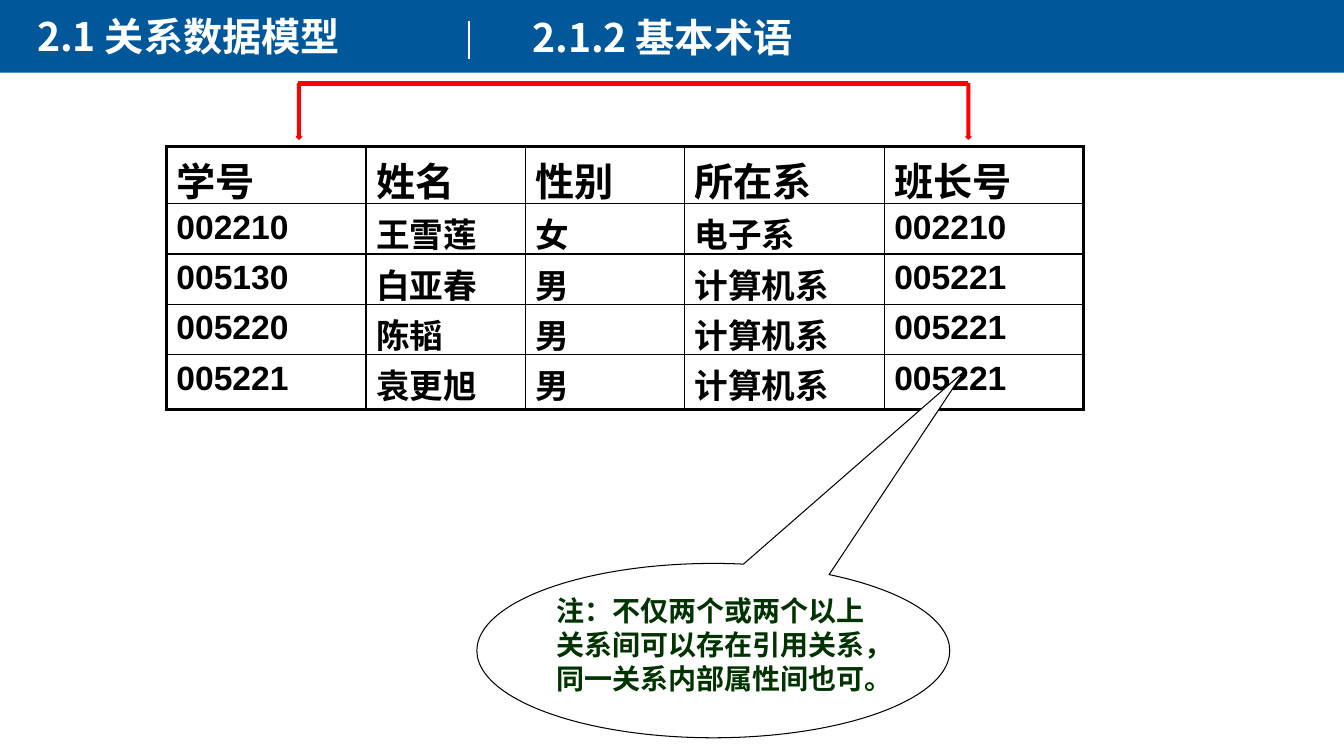
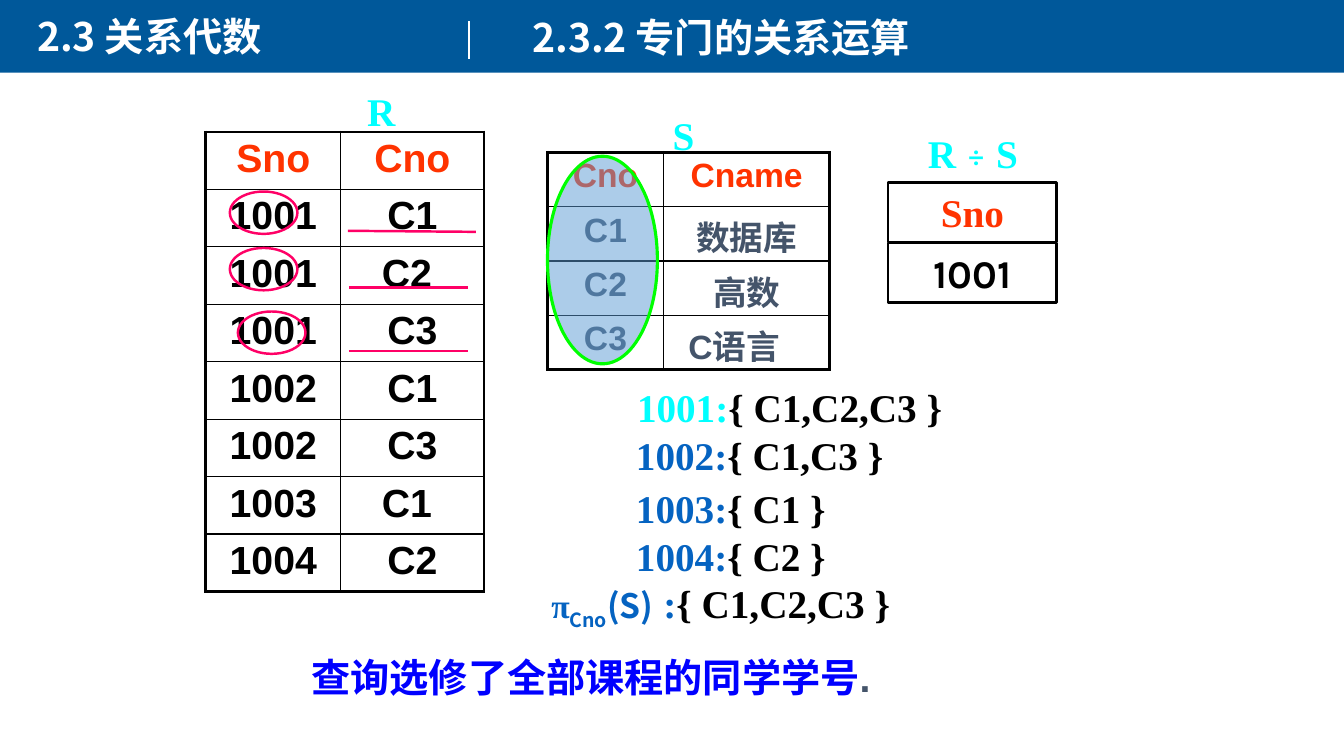
"""Build two lecture slides on relational terms and relational division."""
import dataclasses

import lxml.etree
import pptx
import pptx.dml.color
import pptx.enum.shapes
import pptx.enum.text
import pptx.oxml.ns
import pptx.util

Inches = pptx.util.Inches
Pt = pptx.util.Pt
SHAPE = pptx.enum.shapes.MSO_SHAPE
ANCHOR = pptx.enum.text.MSO_ANCHOR
ALIGN = pptx.enum.text.PP_ALIGN


@dataclasses.dataclass(frozen=True)
class Theme:
    """Colours, fonts, type sizes and line widths of the deck."""
    band: str = "00589A"
    white: str = "FFFFFF"
    black: str = "000000"
    red: str = "FF0000"
    heading: str = "FF3300"
    note: str = "003300"
    slate: str = "44546A"
    cyan: str = "00FFFF"
    blue: str = "0563C1"
    query: str = "0000FF"
    mark: str = "FF0066"
    ring: str = "00FF00"
    ring_fill: str = "5B9BD5"
    sans: str = "Arial"
    serif: str = "Times New Roman"
    chinese: str = "Noto Sans CJK SC"
    digits: str = "Karla"
    large: int = 28
    medium: int = 24
    small: int = 20
    outer_border: float = 2.25
    inner_border: float = 1
    mark_width: float = 1.75


THEME = Theme()


@dataclasses.dataclass(frozen=True)
class Span:
    """A stretch of text in one style."""
    text: str
    color: str = THEME.black
    font: str = THEME.serif
    size: int = THEME.large
    bold: bool = True
    baseline: int = 0


def rgb(color):
    """Turn a hex string into a colour."""
    return pptx.dml.color.RGBColor.from_string(color)


def set_font(font, span):
    """Give a font the style of a span."""
    font.name = span.font
    font.size = Pt(span.size)
    font.bold = span.bold
    font.color.rgb = rgb(span.color)


def fill_paragraph(paragraph, spans, align=ALIGN.LEFT):
    """Write spans into a paragraph."""
    paragraph.alignment = align
    if len(spans) == 1:
        set_font(paragraph.font, spans[0])
    for span in spans:
        run = paragraph.add_run()
        run.text = span.text
        if len(spans) > 1:
            set_font(run.font, span)
        if span.baseline:
            run._r.get_or_add_rPr().set("baseline", str(span.baseline * 1000))


def fill_frame(frame, spans, align=ALIGN.LEFT, anchor=ANCHOR.MIDDLE, wrap=True, grow=True):
    """Set up a text frame and write its one paragraph."""
    frame.word_wrap = wrap
    frame.vertical_anchor = anchor
    if grow:
        frame.auto_size = pptx.enum.text.MSO_AUTO_SIZE.SHAPE_TO_FIT_TEXT
    fill_paragraph(frame.paragraphs[0], spans, align)


def add_text(slide, left, top, width, spans, **options):
    """Add a one-line text box."""
    box = slide.shapes.add_textbox(Inches(left), Inches(top), Inches(width), Inches(0.57))
    fill_frame(box.text_frame, spans, **options)


def add_shape(shapes, kind, box, fill=None, line=None, width=THEME.mark_width, alpha=None):
    """Add a preset shape without shadow."""
    shape = shapes.add_shape(kind, *map(Inches, box))
    shape.shadow.inherit = False
    if fill:
        shape.fill.solid()
        shape.fill.fore_color.rgb = rgb(fill)
    else:
        shape.fill.background()
    if alpha:
        color = shape._element.spPr.find(".//" + pptx.oxml.ns.qn("a:srgbClr"))
        lxml.etree.SubElement(color, pptx.oxml.ns.qn("a:alpha")).set("val", str(alpha * 1000))
    if line:
        shape.line.color.rgb = rgb(line)
        shape.line.width = Pt(width)
    else:
        shape.line.fill.background()
    return shape


def add_line(shapes, start, end, color, width):
    """Add a straight line without shadow."""
    connector = shapes.add_connector(
        pptx.enum.shapes.MSO_CONNECTOR.STRAIGHT, *map(Inches, start + end))
    connector.line.color.rgb = rgb(color)
    connector.line.width = Pt(width)
    lxml.etree.SubElement(connector._element.spPr, pptx.oxml.ns.qn("a:effectLst"))


def set_borders(cell, widths):
    """Draw the left, right, top and bottom borders of a cell."""
    properties = cell._tc.get_or_add_tcPr()
    for position, (side, width) in enumerate(zip("LRTB", widths)):
        line = lxml.etree.Element(pptx.oxml.ns.qn("a:ln" + side), w=str(Pt(width)))
        fill = lxml.etree.SubElement(line, pptx.oxml.ns.qn("a:solidFill"))
        lxml.etree.SubElement(fill, pptx.oxml.ns.qn("a:srgbClr"), val=THEME.black)
        properties.insert(position, line)


def add_table(slide, left, top, columns, heights, rows, header, body, align=ALIGN.LEFT):
    """Add a table with a heavy frame, styled by a header and a body span."""
    table = slide.shapes.add_table(
        len(rows), len(columns), Inches(left), Inches(top),
        Inches(sum(columns)), Inches(sum(heights))).table
    table.first_row = table.horz_banding = False
    for column, width in zip(table.columns, columns):
        column.width = Inches(width)
    for row, height in zip(table.rows, heights):
        row.height = Inches(height)
    for i, texts in enumerate(rows):
        for j, text in enumerate(texts):
            cell = table.cell(i, j)
            cell.fill.background()
            edges = (j == 0, j == len(columns) - 1, i == 0, i == len(rows) - 1)
            set_borders(cell, [THEME.outer_border if edge else THEME.inner_border
                               for edge in edges])
            span = dataclasses.replace(body if i else header, text=text)
            fill_paragraph(cell.text_frame.paragraphs[0], [span], align)
    return table


def add_header(slide, chapter, section):
    """Add the title band with chapter and section."""
    add_shape(slide.shapes, SHAPE.RECTANGLE, (0, 0, 13.33, 0.72), THEME.band)
    for left, top, width, text in ((0.27, 0.07, 5.53, chapter), (5.18, 0.08, 8.15, section)):
        add_text(slide, left, top, width, [Span(text, THEME.white, THEME.chinese)],
                 anchor=ANCHOR.TOP)
    add_line(slide.shapes, (4.65, 0.21), (4.65, 0.59), THEME.white, 1.5)


def build_terms(slide):
    """Fill the slide on references inside one relation."""
    add_header(slide, "2.1 关系数据模型", "2.1.2 基本术语")
    students = [
        ("学号", "姓名", "性别", "所在系", "班长号"),
        ("002210", "王雪莲", "女", "电子系", "002210"),
        ("005130", "白亚春", "男", "计算机系", "005221"),
        ("005220", "陈韬", "男", "计算机系", "005221"),
        ("005221", "袁更旭", "男", "计算机系", "005221"),
    ]
    add_table(slide, 1.65, 1.45, (1.98, 1.58, 1.58, 1.98, 1.98), (0.57, 0.5, 0.5, 0.5, 0.54),
              students, Span("", font=THEME.sans),
              Span("", font=THEME.sans, size=THEME.medium))
    callout = add_shape(slide.shapes, SHAPE.OVAL_CALLOUT, (4.73, 5.59, 4.69, 1.73),
                        THEME.white, THEME.black, 0.75)
    callout.adjustments[0] = 0.53
    callout.adjustments[1] = -1.6
    note = "注：不仅两个或两个以上关系间可以存在引用关系，同一关系内部属性间也可。"
    fill_frame(callout.text_frame, [Span(note, THEME.note, THEME.sans, THEME.small)],
               anchor=ANCHOR.TOP, grow=False)
    for left in (2.94, 9.58):
        add_shape(slide.shapes, SHAPE.DOWN_ARROW, (left, 0.83, 0.05, 0.55),
                  THEME.red, THEME.red, 1)
    add_line(slide.shapes, (2.96, 0.83), (9.6, 0.83), THEME.red, 4)


def add_marks(slide):
    """Circle and underline the rows of student 1001."""
    marks = slide.shapes.add_group_shape().shapes
    for left, top in ((2.28, 1.9), (2.28, 2.46), (2.36, 3.09)):
        add_shape(marks, SHAPE.OVAL, (left, top, 0.67, 0.42), line=THEME.mark)
    for start, end in (((3.45, 2.29), (4.72, 2.3)), ((3.46, 2.85), (4.64, 2.85)),
                       ((3.46, 3.48), (4.64, 3.48))):
        add_line(marks, start, end, THEME.mark, THEME.mark_width)


def build_division(slide):
    """Fill the slide on relational division."""
    add_header(slide, "2.3 关系代数", "2.3.2 专门的关系运算")
    enrolments = [
        ("Sno", "Cno"), ("1001", "C1"), ("1001", "C2 "), ("1001", "C3"),
        ("1002", "C1"), ("1002", "C3"), ("1003", "C1 "), ("1004", "C2"),
    ]
    add_table(slide, 2.04, 1.31, (1.34, 1.42), [0.57] * len(enrolments), enrolments,
              Span("", THEME.heading, THEME.sans), Span("", font=THEME.sans), ALIGN.CENTER)
    courses = [("Cno", "Cname"), ("C1", "数据库"), ("C2", "高数"), ("C3", "C语言")]
    table = add_table(slide, 5.43, 1.51, (1.15, 1.65), [0.54] * len(courses), courses,
                      Span("", THEME.heading, THEME.sans, THEME.medium),
                      Span("", THEME.slate, THEME.sans, THEME.medium), ALIGN.CENTER)
    table.cell(3, 1).margin_right = Inches(0.35)

    add_text(slide, 3.54, 0.81, 0.48, [Span("R", THEME.cyan)], align=ALIGN.CENTER, wrap=False)
    add_text(slide, 6.54, 1.05, 0.48, [Span("S", THEME.cyan)], align=ALIGN.CENTER)
    image_sets = (
        (6.22, 3.75, "1001:", "{ C1,C2,C3 }", THEME.cyan),
        (6.21, 4.23, "1002:", "{ C1,C3 }", THEME.blue),
        (6.21, 4.75, "1003:", "{ C1 }", THEME.blue),
        (6.21, 5.23, "1004:", "{ C2 }", THEME.blue),
    )
    for left, top, student, members, color in image_sets:
        add_text(slide, left, top, 4.8, [Span(student, color), Span(members)])
    add_text(slide, 5.37, 5.72, 6, [
        Span("π", THEME.blue, size=THEME.medium),
        Span("Cno", THEME.blue, THEME.chinese, THEME.medium, baseline=-25),
        Span("(S)", THEME.blue, THEME.chinese, THEME.medium),
        Span(" :", THEME.blue),
        Span("{ C1,C2,C3 }"),
    ])
    quotient = (Span("Sno", THEME.heading), Span("1001", font=THEME.digits))
    for index, span in enumerate(quotient):
        box = add_shape(slide.shapes, SHAPE.RECTANGLE, (8.81, 1.81 + 0.6 * index, 1.67, 0.59),
                        line=THEME.black)
        fill_frame(box.text_frame, [span], ALIGN.CENTER)
    add_text(slide, 8.9, 1.23, 1.5, [
        Span("R ", THEME.cyan),
        Span("÷", THEME.cyan, THEME.digits, bold=False),
        Span(" S", THEME.cyan),
    ], align=ALIGN.CENTER)
    add_marks(slide)
    add_shape(slide.shapes, SHAPE.OVAL, (5.43, 1.55, 1.09, 2.06), THEME.ring_fill, THEME.ring,
              THEME.outer_border, alpha=50)
    add_text(slide, 2.99, 6.43, 5.75, [
        Span("查询选修了全部课程的同学学号", THEME.query, THEME.sans),
        Span(".", THEME.slate, THEME.sans),
    ], anchor=ANCHOR.TOP, wrap=False)


def main():
    """Build and save the presentation."""
    presentation = pptx.Presentation()
    presentation.slide_width = Inches(13.33)
    presentation.slide_height = Inches(7.5)
    for build in (build_terms, build_division):
        build(presentation.slides.add_slide(presentation.slide_layouts[6]))
    presentation.save("out.pptx")


if __name__ == "__main__":
    main()
